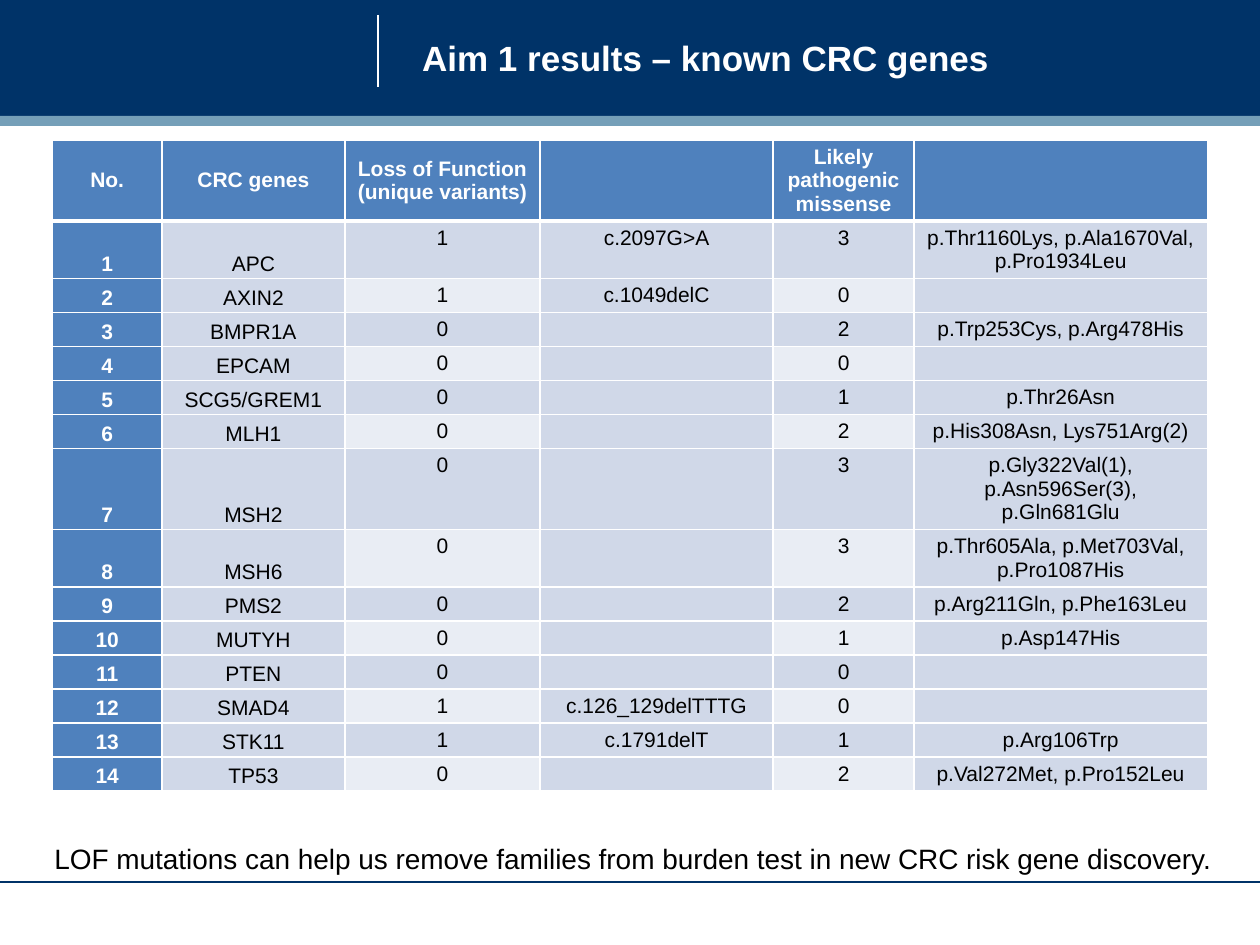
from dataclasses import dataclass

from lxml import etree
from pptx import Presentation
from pptx.dml.color import RGBColor
from pptx.enum import shapes, text
from pptx.oxml.ns import qn
from pptx.util import Pt


@dataclass(frozen=True)
class Theme:
    font: str = "Arial"
    navy: str = "003368"
    steel: str = "759FB8"
    header: str = "4F81BD"
    body: str = "D0D8E8"
    body_alternate: str = "E9EDF4"
    white: str = "FFFFFF"
    black: str = "000000"
    title_size: float = 20
    note_size: float = 16
    table_size: float = 12


THEME = Theme()
SLIDE_WIDTH, SLIDE_HEIGHT = 720, 540

COLUMN_WIDTHS = [62.5, 104.5, 111.5, 133, 80.5, 167.5]
HEADER_HEIGHT, FIRST_ROW_HEIGHT, ROW_HEIGHT = 26.5, 24.5, 16.5
NARROW_MARGINS = (1.5, 1.5)
WIDE_MARGINS = (6, 3)
COUNT_COLUMNS = (2, 4)

HEADINGS = ["No.", "CRC genes", "Loss of Function\n(unique variants)", "",
            "Likely pathogenic missense", ""]
# Gene, loss-of-function count and variants, missense count and variants
GENES = [
    ("APC", 1, "c.2097G>A", 3, "p.Thr1160Lys, p.Ala1670Val, p.Pro1934Leu"),
    ("AXIN2", 1, "c.1049delC", 0, ""),
    ("BMPR1A", 0, "", 2, "p.Trp253Cys, p.Arg478His"),
    ("EPCAM", 0, "", 0, ""),
    ("SCG5/GREM1", 0, "", 1, "p.Thr26Asn"),
    ("MLH1", 0, "", 2, "p.His308Asn, Lys751Arg(2)"),
    ("MSH2", 0, "", 3, "p.Gly322Val(1), p.Asn596Ser(3), p.Gln681Glu"),
    ("MSH6", 0, "", 3, "p.Thr605Ala, p.Met703Val, p.Pro1087His"),
    ("PMS2", 0, "", 2, "p.Arg211Gln, p.Phe163Leu"),
    ("MUTYH", 0, "", 1, "p.Asp147His"),
    ("PTEN", 0, "", 0, ""),
    ("SMAD4", 1, "c.126_129delTTTG", 0, ""),
    ("STK11", 1, "c.1791delT", 1, "p.Arg106Trp"),
    ("TP53", 0, "", 2, "p.Val272Met, p.Pro152Leu"),
]


def color(value):
    return RGBColor.from_string(value)


def format_paragraph(paragraph, size, text_color, bold=False, alignment=text.PP_ALIGN.LEFT):
    paragraph.alignment = alignment
    font = paragraph.font
    font.name, font.size, font.bold = THEME.font, Pt(size), bold
    font.color.rgb = color(text_color)


def add_bar(slide, left, top, width, height, fill):
    bar = slide.shapes.add_shape(shapes.MSO_SHAPE.RECTANGLE,
                                 Pt(left), Pt(top), Pt(width), Pt(height))
    bar.shadow.inherit = False
    bar.fill.solid()
    bar.fill.fore_color.rgb = color(fill)
    bar.line.fill.background()
    return bar


def add_rule(slide, start_x, start_y, end_x, end_y, line_color):
    rule = slide.shapes.add_connector(shapes.MSO_CONNECTOR.STRAIGHT,
                                      Pt(start_x), Pt(start_y), Pt(end_x), Pt(end_y))
    rule.line.color.rgb = color(line_color)
    rule.line.width = Pt(0.75)
    etree.SubElement(rule.element.spPr, qn("a:effectLst"))
    return rule


def add_title_band(slide, left, top, width, height, title_text):
    band_height = height * 0.92
    backdrop = [
        add_bar(slide, left, top, width, band_height, THEME.navy),
        add_rule(slide, left + 216, top + 8.5, left + 216, top + 49.5, THEME.white),
        add_bar(slide, left, top + band_height, width, height - band_height, THEME.steel),
    ]
    title = slide.shapes.title
    for part in backdrop:
        title.element.addprevious(part.element)
    title.left, title.top = Pt(left + 234), Pt(top + 6)
    title.width, title.height = Pt(456), Pt(54)
    frame = title.text_frame
    frame.text = title_text
    frame.word_wrap = True
    frame.auto_size = text.MSO_AUTO_SIZE.NONE
    frame.vertical_anchor = text.MSO_ANCHOR.MIDDLE
    format_paragraph(frame.paragraphs[0], THEME.title_size, THEME.white, bold=True)


def set_borders(cell, top_width, bottom_width):
    properties = cell._tc.get_or_add_tcPr()
    widths = {"a:lnL": 1, "a:lnR": 1, "a:lnT": top_width, "a:lnB": bottom_width}
    for index, (tag, width) in enumerate(widths.items()):
        border = etree.Element(qn(tag), w=str(Pt(width)))
        fill = etree.SubElement(border, qn("a:solidFill"))
        etree.SubElement(fill, qn("a:srgbClr"), val=THEME.white)
        properties.insert(index, border)


def cell_fill(row, column):
    if row == 0 or column == 0:
        return THEME.header
    if column in COUNT_COLUMNS and row % 2 == 0:
        return THEME.body_alternate
    return THEME.body


def fill_cell(cell, row, column, value):
    is_heading = row == 0 or column == 0
    is_label = column < 2
    cell.text = str(value)
    cell.fill.solid()
    cell.fill.fore_color.rgb = color(cell_fill(row, column))
    side, edge = NARROW_MARGINS if is_label else WIDE_MARGINS
    cell.margin_left = cell.margin_right = Pt(side)
    cell.margin_top = cell.margin_bottom = Pt(edge)
    if row == 0:
        cell.vertical_anchor = text.MSO_ANCHOR.MIDDLE
    else:
        cell.vertical_anchor = text.MSO_ANCHOR.BOTTOM if is_label else text.MSO_ANCHOR.TOP
    for paragraph in cell.text_frame.paragraphs:
        format_paragraph(paragraph, THEME.table_size,
                         THEME.white if is_heading else THEME.black,
                         is_heading, text.PP_ALIGN.CENTER)
        if not value and value != 0:
            # An empty cell takes its line height from the end mark
            etree.SubElement(paragraph._p, qn("a:endParaRPr"),
                             sz=str(int(THEME.table_size * 100)))
    set_borders(cell, 3 if row == 1 else 1, 3 if row == 0 else 1)


def add_gene_table(slide, left, top, width, height):
    rows = [HEADINGS] + [(number, *gene) for number, gene in enumerate(GENES, 1)]
    frame = slide.shapes.add_table(len(rows), len(HEADINGS),
                                   Pt(left), Pt(top), Pt(width), Pt(height))
    table = frame.table
    table.horz_banding = False
    for column, share in zip(table.columns, COLUMN_WIDTHS):
        column.width = Pt(width * share / sum(COLUMN_WIDTHS))
    row_heights = [HEADER_HEIGHT, FIRST_ROW_HEIGHT] + [ROW_HEIGHT] * (len(rows) - 2)
    for row, row_height in zip(table.rows, row_heights):
        row.height = Pt(row_height)
    for row_index, values in enumerate(rows):
        for column_index, value in enumerate(values):
            fill_cell(table.cell(row_index, column_index), row_index, column_index, value)
    frame.height = Pt(height)


def add_note(slide, left, top, width, height, note):
    box = slide.shapes.add_textbox(Pt(left), Pt(top), Pt(width), Pt(height))
    frame = box.text_frame
    frame.word_wrap = True
    frame.auto_size = text.MSO_AUTO_SIZE.SHAPE_TO_FIT_TEXT
    frame.text = note
    format_paragraph(frame.paragraphs[0], THEME.note_size, THEME.black)


def main():
    presentation = Presentation()
    presentation.slide_width, presentation.slide_height = Pt(SLIDE_WIDTH), Pt(SLIDE_HEIGHT)
    slide = presentation.slides.add_slide(presentation.slide_layouts.get_by_name("Title Only"))
    add_title_band(slide, 0, 0, SLIDE_WIDTH, 72, "Aim 1 results – known CRC genes")
    add_rule(slide, 0, 504, SLIDE_WIDTH, 504, THEME.navy)
    add_gene_table(slide, 30, 80, 660, 389)
    add_note(slide, 24, 477.5, 684, 26.5,
             "LOF mutations can help us remove families from burden test "
             "in new CRC risk gene discovery.")
    presentation.save("out.pptx")


if __name__ == "__main__":
    main()
